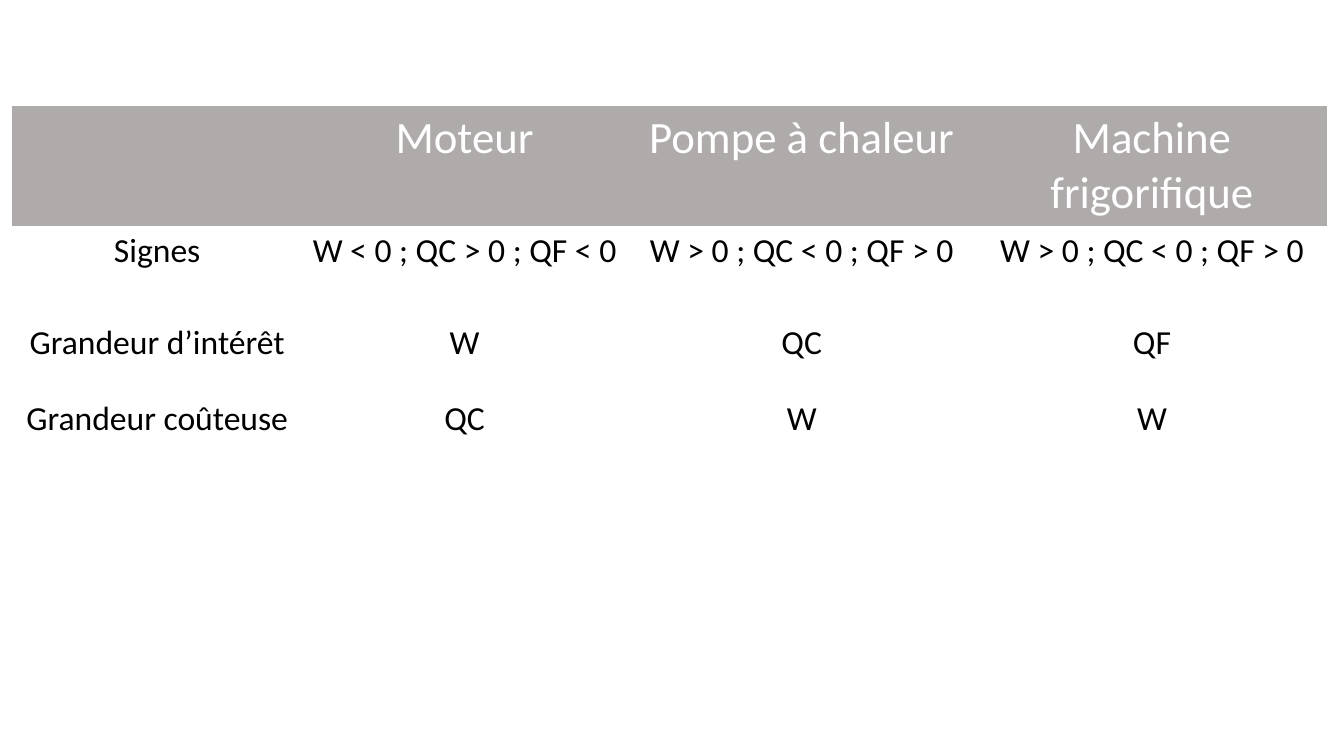
"""Build a slide comparing heat machines in a table."""
from dataclasses import dataclass

from pptx import Presentation
from pptx.dml.color import RGBColor as RGB
from pptx.enum.text import PP_ALIGN as Align
from pptx.oxml.ns import qn
from pptx.util import Pt

ROWS = [
    ["", "Moteur", "Pompe à chaleur", "Machine frigorifique"],
    ["Signes", "W < 0 ; QC > 0 ; QF < 0", "W > 0 ; QC < 0 ; QF > 0",
     "W > 0 ; QC < 0 ; QF > 0"],
    ["Grandeur d’intérêt", "W", "QC", "QF"],
    ["Grandeur coûteuse", "QC", "W", "W"],
]
COL_WIDTHS = [207.4, 231.8, 249.8, 250.6]
ROW_HEIGHTS = [85.7, 65.5, 54.7, 51.1]
LEFT, TOP = 8.6, 75.6
NO_STYLE_NO_GRID = "{2D5ABB26-0587-4C30-8999-92F81FD0307C}"


@dataclass(frozen=True)
class Theme:
    """Colours, font and type sizes."""
    font: str = "Calibri"
    header_size: int = 32
    body_size: int = 24
    header_fill: RGB = RGB(0xAF, 0xAB, 0xAB)
    header_text: RGB = RGB(0xFF, 0xFF, 0xFF)
    body_text: RGB = RGB(0, 0, 0)


THEME = Theme()


def fill_cell(cell, text, is_header):
    """Write and format one table cell."""
    if is_header:
        cell.fill.solid()
        cell.fill.fore_color.rgb = THEME.header_fill
    else:
        cell.fill.background()
    p = cell.text_frame.paragraphs[0]
    p.text = text
    p.alignment = Align.CENTER
    p.font.name = THEME.font
    p.font.size = Pt(THEME.header_size if is_header else THEME.body_size)
    p.font.color.rgb = THEME.header_text if is_header else THEME.body_text


def add_machine_table(s):
    """Add the comparison table to the slide."""
    frame = s.shapes.add_table(
        len(ROWS), len(COL_WIDTHS), Pt(LEFT), Pt(TOP),
        Pt(sum(COL_WIDTHS)), Pt(sum(ROW_HEIGHTS)))
    for style in frame.element.iter(qn("a:tableStyleId")):
        style.text = NO_STYLE_NO_GRID
    table = frame.table
    table.horz_banding = False
    for column, width in zip(table.columns, COL_WIDTHS):
        column.width = Pt(width)
    for i, (row, height, texts) in enumerate(zip(table.rows, ROW_HEIGHTS, ROWS)):
        row.height = Pt(height)
        for cell, text in zip(row.cells, texts):
            fill_cell(cell, text, i == 0)


def main():
    """Create and save the presentation."""
    prs = Presentation()
    prs.slide_width, prs.slide_height = Pt(960), Pt(540)
    s = prs.slides.add_slide(prs.slide_layouts[6])
    add_machine_table(s)
    prs.save("out.pptx")


if __name__ == "__main__":
    main()
